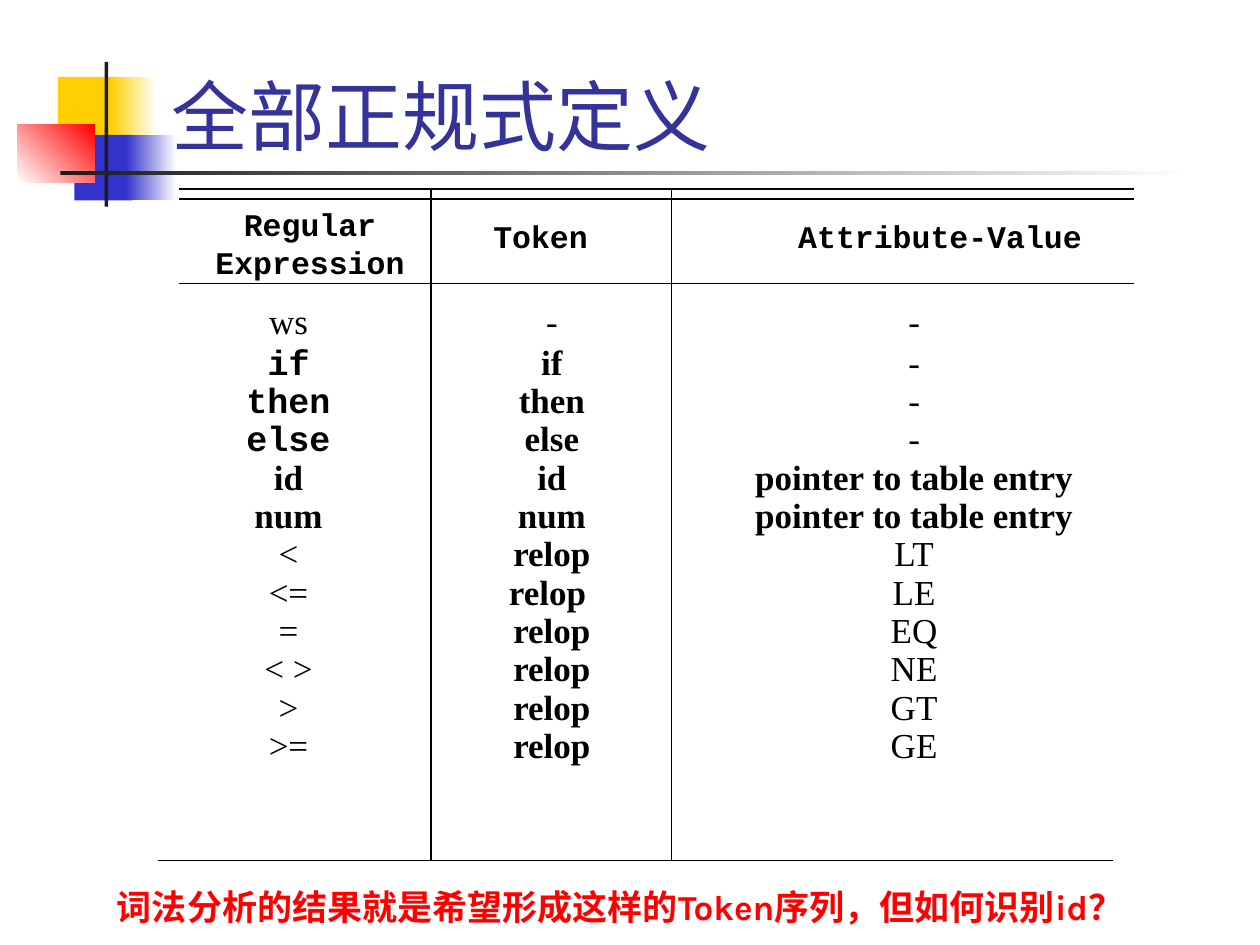
from dataclasses import dataclass

from lxml import etree
from pptx import Presentation
from pptx import util as u
from pptx.dml import color
from pptx.enum import shapes, text
from pptx.oxml import ns


@dataclass(frozen=True)
class Theme:
    serif: str = "Times New Roman"
    mono: str = "Courier New"
    sans: str = "Karla"
    title: str = "333399"
    ink: str = "000000"
    alert: str = "FF0000"
    yellow: str = "FFCF01"
    blue: str = "3333CC"
    bar: str = "1C1C1C"
    white: str = "FFFFFF"
    title_size: int = 44
    header_size: int = 18
    body_size: int = 20


THEME = Theme()

HEADING = "全部正规式定义"
QUESTION = "词法分析的结果就是希望形成这样的Token序列，但如何识别id？"

HEADERS = [
    ("Regular Expression", (1.42, 1.58, 2.08, 0.7)),
    ("Token", (3.25, 1.67, 2.08, 0.4)),
    ("Attribute-Value", (5.92, 1.67, 3.08, 0.4)),
]

ROWS = [
    ("ws", "-", "-"),
    ("if", "if", "-"),
    ("then", "then", "-"),
    ("else", "else", "-"),
    ("id", "id", "pointer to table entry"),
    ("num", "num", "pointer to table entry"),
    ("<", "relop", "LT"),
    ("<=", "relop ", "LE"),
    ("=", "relop", "EQ"),
    ("< >", "relop", "NE"),
    (">", "relop", "GT"),
    (">=", "relop", "GE"),
]
KEYWORDS = {"if", "then", "else"}
BOLD = KEYWORDS | {"id", "num", "relop", "pointer to table entry"}
COLUMNS = [(1.83, 0.92), (3.92, 0.92), (5.42, 3.67)]
ROWS_TOP, ROWS_HEIGHT = 2.33, 3.78

ORNAMENTS = [
    ((0.46, 0.61, 0.48, 0.52), [THEME.yellow], 0),
    ((0.88, 0.61, 0.36, 0.52), [THEME.yellow, THEME.white], 0),
    ((0.59, 1.07, 0.46, 0.52), [THEME.blue], 0),
    ((1, 1.07, 0.4, 0.52), [THEME.blue, THEME.white], 0),
    ((0.14, 0.99, 0.61, 0.46), [THEME.white, THEME.alert], 45),
    ((0.83, 0.49, 0.03, 1.15), [THEME.bar], 0),
    ((0.48, 1.36, 9, 0.03), [THEME.bar, THEME.white], 0),
]

TOP, BOTTOM = 1.5, 6.83
RULE_WIDTH = 7.58
HORIZONTAL_RULES = [(1.42, TOP), (1.42, 1.58), (1.42, 2.25), (1.25, BOTTOM)]
VERTICAL_RULES = [3.42, 5.33]


def rgb(value):
    return color.RGBColor.from_string(value)


def inches(values):
    return [u.Inches(value) for value in values]


def add_ornament(slide, place, colours, angle):
    ornament = slide.shapes.add_shape(shapes.MSO_SHAPE.RECTANGLE, *inches(place))
    ornament.shadow.inherit = False
    ornament.line.fill.background()
    if len(colours) == 1:
        ornament.fill.solid()
        ornament.fill.fore_color.rgb = rgb(colours[0])
        return
    ornament.fill.gradient()
    ornament.fill.gradient_angle = angle
    for stop, colour in zip(ornament.fill.gradient_stops, colours):
        stop.color.rgb = rgb(colour)


def add_rule(parent, *ends):
    rule = parent.shapes.add_connector(shapes.MSO_CONNECTOR.STRAIGHT, *inches(ends))
    rule.line.color.rgb = rgb(THEME.ink)
    rule.line.width = u.Pt(1)
    etree.SubElement(rule._element.spPr, ns.qn("a:effectLst"))


def add_text(parent, place, lines, align, size, colour=THEME.ink,
             anchor=text.MSO_ANCHOR.TOP):
    frame = parent.shapes.add_textbox(*inches(place)).text_frame
    frame.word_wrap = True
    frame.vertical_anchor = anchor
    for index, (words, face, bold) in enumerate(lines):
        line = frame.add_paragraph() if index else frame.paragraphs[0]
        line.alignment = align
        if index:
            line.space_before = u.Pt(7.5)
            line.line_spacing = 0.6
        run = line.add_run()
        run.text = words
        looks = {"name": face, "size": u.Pt(size), "bold": bold}
        for key, value in looks.items():
            setattr(run.font, key, value)
        run.font.color.rgb = rgb(colour)


def main():
    deck = Presentation()
    deck.slide_width, deck.slide_height = inches((10, 7.5))
    slide = deck.slides.add_slide(deck.slide_layouts[6])
    left, center = text.PP_ALIGN.LEFT, text.PP_ALIGN.CENTER

    for ornament in ORNAMENTS:
        add_ornament(slide, *ornament)
    add_text(slide, (1.26, 0.08, 8.52, 1.25), [(HEADING, THEME.serif, False)],
             left, THEME.title_size, THEME.title, text.MSO_ANCHOR.BOTTOM)

    grid = slide.shapes.add_group_shape()
    for x, y in HORIZONTAL_RULES:
        add_rule(grid, x, y, x + RULE_WIDTH, y)
    for x in VERTICAL_RULES:
        add_rule(grid, x, TOP, x, BOTTOM)
    for header, place in HEADERS:
        add_text(grid, place, [(header, THEME.mono, True)], center, THEME.header_size)
    for column, (x, width) in enumerate(COLUMNS):
        entries = []
        for row in ROWS:
            entry = row[column]
            face = THEME.mono if column == 0 and entry in KEYWORDS else THEME.serif
            entries.append((entry, face, entry.strip() in BOLD))
        add_text(grid, (x, ROWS_TOP, width, ROWS_HEIGHT), entries, center, THEME.body_size)

    add_text(slide, (0.83, 6.98, 8.51, 0.44), [(QUESTION, THEME.sans, True)],
             left, THEME.body_size, THEME.alert)
    deck.save("out.pptx")


if __name__ == "__main__":
    main()
